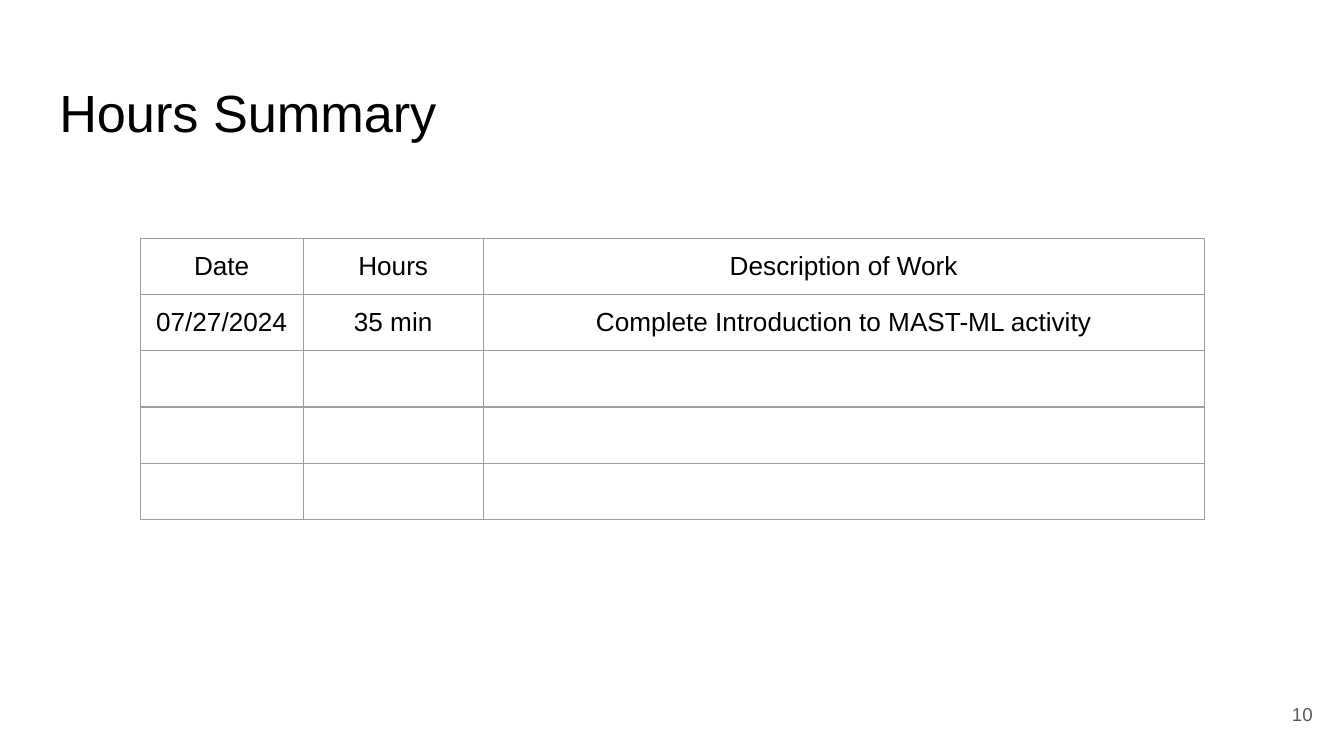
from dataclasses import dataclass

from lxml.etree import SubElement
from pptx import Presentation
from pptx.dml.color import RGBColor
from pptx.enum.text import MSO_ANCHOR as Anchor, PP_ALIGN as Align
from pptx.oxml.ns import qn
from pptx.util import Inches, Pt

SLIDE_W = Inches(10)
SLIDE_H = SLIDE_W * 9 // 16
INSET = Inches(0.1)


@dataclass(frozen=True)
class Theme:
    font: str = "Arial"
    ink: str = "000000"
    muted: str = "595959"
    rule: str = "9E9E9E"
    rule_width: float = 0.75
    title_size: int = 28
    body_size: int = 14
    number_size: int = 10


THEME = Theme()

HOURS_LOG = [
    ("Date", "Hours", "Description of Work"),
    ("07/27/2024", "35 min", "Complete Introduction to MAST-ML activity"),
    *[("", "", "")] * 3,
]
# Percent of the slide's width and height
COLUMN_WIDTHS = (12.13, 13.4, 53.65)
ROW_HEIGHT = 7.42


def across(percent):
    return int(SLIDE_W * percent / 100)


def down(percent):
    return int(SLIDE_H * percent / 100)


def region(left, top, width, height):
    """Turn percentages of the slide's size into a box."""
    return across(left), down(top), across(width), down(height)


def write(frame, text, size, color=THEME.ink, align=Align.LEFT, anchor=Anchor.TOP):
    frame.word_wrap = True
    frame.vertical_anchor = anchor
    frame.margin_left = frame.margin_right = INSET
    frame.margin_top = frame.margin_bottom = INSET
    line = frame.paragraphs[0]
    line.alignment = align
    if text:
        run = line.add_run()
        run.text = text
        run.font.name = THEME.font
        run.font.size = Pt(size)
        run.font.color.rgb = RGBColor.from_string(color)
    else:
        # Keep an empty line as tall as a filled one
        end = SubElement(line._p, qn("a:endParaRPr"), sz=str(size * 100))
        SubElement(end, qn("a:latin"), typeface=THEME.font)


def rule_cell(cell):
    properties = cell._tc.get_or_add_tcPr()
    for side in ("lnL", "lnR", "lnT", "lnB"):
        edge = SubElement(properties, qn(f"a:{side}"), w=str(Pt(THEME.rule_width)))
        fill = SubElement(edge, qn("a:solidFill"))
        SubElement(fill, qn("a:srgbClr"), val=THEME.rule)
    cell.fill.background()


def place_title(slide, box, text):
    title = slide.shapes.title
    title.left, title.top, title.width, title.height = box
    write(title.text_frame, text, THEME.title_size)


def place_hours_table(slide, box, log):
    holder = slide.shapes.add_table(len(log), len(COLUMN_WIDTHS), *box)
    table = holder.table
    table.first_row = table.horz_banding = False
    for column, width in zip(table.columns, COLUMN_WIDTHS):
        column.width = across(width)
    for row, entries in zip(table.rows, log):
        row.height = down(ROW_HEIGHT)
        for cell, entry in zip(row.cells, entries):
            write(cell.text_frame, entry, THEME.body_size, align=Align.CENTER)
            # The cell, not its text body, holds the insets and anchor
            cell.margin_left = cell.margin_right = INSET
            cell.margin_top = cell.margin_bottom = INSET
            cell.vertical_anchor = Anchor.TOP
            rule_cell(cell)
    holder.width, holder.height = box[2:]


def place_page_number(slide, box, number):
    page_number = slide.shapes.add_textbox(*box)
    write(page_number.text_frame, number, THEME.number_size, THEME.muted,
          Align.RIGHT, Anchor.MIDDLE)


def main():
    deck = Presentation()
    deck.slide_width, deck.slide_height = SLIDE_W, SLIDE_H
    slide = deck.slides.add_slide(deck.slide_layouts[5])

    # Heading, log of hours, page number
    place_title(slide, region(3.41, 8.89, 93.18, 11.2), "Hours Summary")
    place_hours_table(slide, region(10.43, 31.5, 79.18, 38.58), HOURS_LOG)
    place_page_number(slide, region(92.65, 90.67, 6, 7.64), "10")

    deck.save("out.pptx")


if __name__ == "__main__":
    main()
